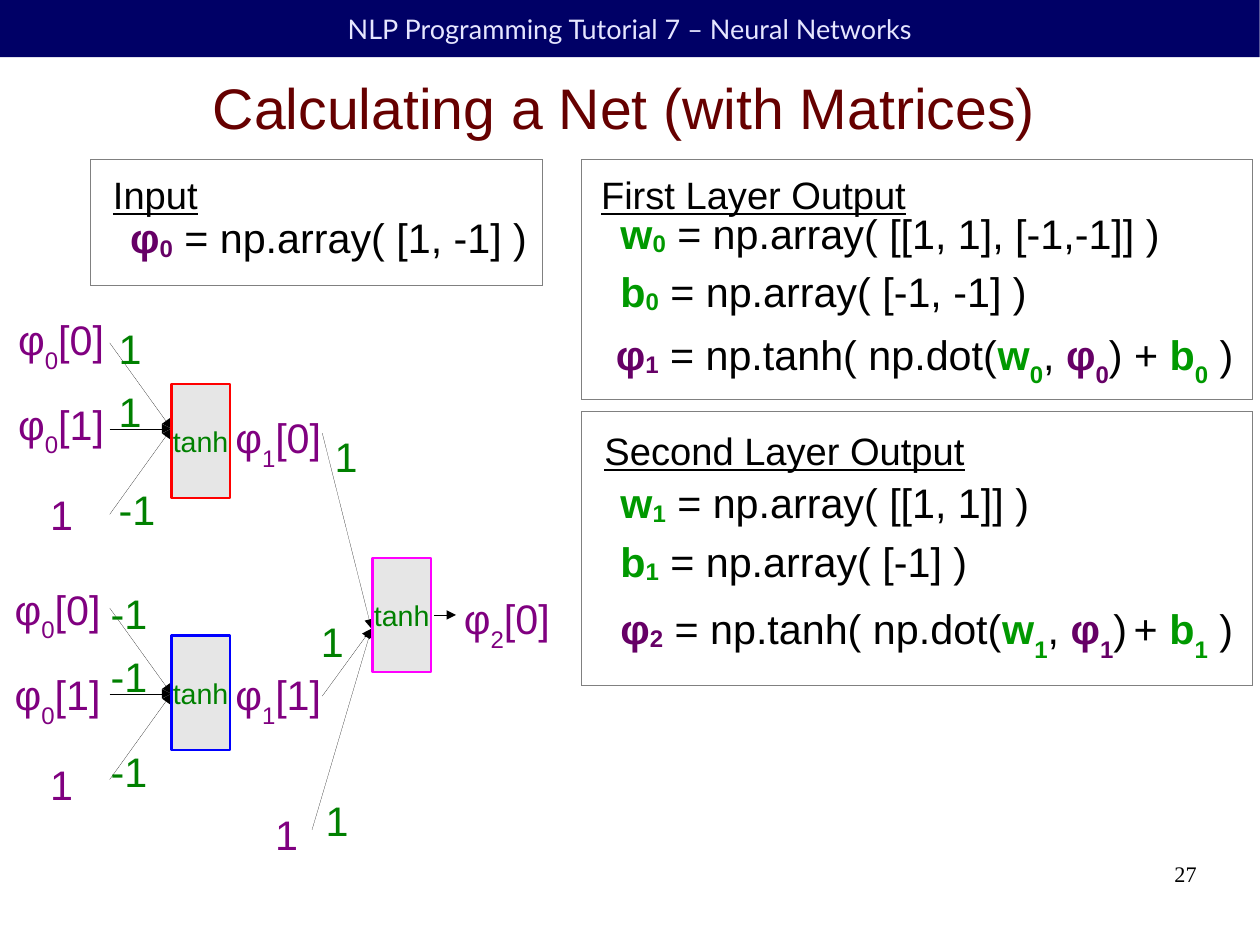
"""Build the slide that computes a small neural net with matrices."""
from lxml import etree
from pptx import Presentation
from pptx import util as u
from pptx.dml.color import RGBColor
from pptx.enum import shapes, text
from pptx.oxml import ns

PX = 9144
BLACK, PURPLE, GREEN = "000000", "800080", "008000"
VECTOR, WEIGHT = "660066", "009900"
LOW, SUB = -8000, -33000

presentation = Presentation()
presentation.slide_width, presentation.slide_height = u.Cm(28), u.Cm(21)
slide = presentation.slides.add_slide(presentation.slide_layouts[6])
color = RGBColor.from_string


def write(shape, runs, size=26, align="LEFT", font="Arial", underline=False):
    """Write (text, colour, bold, baseline) runs into the shape's first paragraph."""
    paragraph = shape.text_frame.paragraphs[0]
    paragraph.alignment = getattr(text.PP_ALIGN, align)
    for words, hue, bold, baseline in runs:
        run = paragraph.add_run()
        run.text = words
        run.font.name, run.font.size = font, u.Pt(size)
        run.font.color.rgb = color(hue)
        run.font.bold = bold
        run.font.underline = underline
        if baseline:
            run._r.get_or_add_rPr().set("baseline", str(baseline))


def add_box(left, top, width, height, fill=None, line=None, weight=0):
    """Add a plain rectangle with optional fill and outline."""
    shape = slide.shapes.add_shape(
        shapes.MSO_SHAPE.RECTANGLE, left * PX, top * PX, width * PX, height * PX)
    shape.shadow.inherit = False
    shape._element.remove(shape._element.find(ns.qn("p:style")))
    if fill:
        shape.fill.solid()
        shape.fill.fore_color.rgb = color(fill)
    else:
        shape.fill.background()
    if line:
        shape.line.color.rgb = color(line)
        shape.line.width = u.Pt(weight)
    else:
        shape.line.fill.background()
    shape.text_frame.vertical_anchor = text.MSO_ANCHOR.MIDDLE
    return shape


header = add_box(0, 0, 1102, 50, fill="000066")
write(header, [("NLP Programming Tutorial 7 – Neural Networks", "E6E6FF", False, 0)],
      17, "CENTER", "Lato")

title = slide.shapes.add_textbox(50 * PX, 62 * PX, 992 * PX, 63 * PX)
title.text_frame.word_wrap = True
title.text_frame.vertical_anchor = text.MSO_ANCHOR.MIDDLE
write(title, [("Calculating a Net (with Matrices)", "660000", False, 0)], 36, "CENTER")

for panel in [(79, 140, 396, 110), (509, 140, 587, 210), (509, 360, 587, 240)]:
    add_box(*panel, line="808080")

arrows = [(380, 538, 399, 538)]
for neuron_y in (375, 607):
    arrows += [(96, neuron_y + offset, 150, neuron_y) for offset in (-75, 0, 75)]
arrows += [(x, y, 325, 550) for x, y in [(282, 379), (282, 609), (273, 726)]]
for start_x, start_y, end_x, end_y in arrows:
    arrow = slide.shapes.add_connector(
        shapes.MSO_CONNECTOR.STRAIGHT, start_x * PX, start_y * PX, end_x * PX, end_y * PX)
    arrow._element.remove(arrow._element.find(ns.qn("p:style")))
    arrow.line.color.rgb = color(BLACK)
    arrow.line.width = u.Pt(0)
    etree.SubElement(arrow.line._get_or_add_ln(), ns.qn("a:tailEnd"), type="triangle")
    etree.SubElement(arrow._element.spPr, ns.qn("a:effectLst"))

for left, top, outline in [(150, 336, "FF0000"), (150, 556, "0000FF"), (326, 488, "FF00FF")]:
    neuron = add_box(left, top, 51, 100, "E6E6E6", outline, 1.45)
    neuron.text_frame.word_wrap = False
    write(neuron, [("tanh", GREEN, False, 0)], 18, "CENTER")

labels = []
for left, top, width, words in [(89, 145, 94, "Input"), (516, 145, 309, "First Layer Output"),
                                (519, 369, 335, "Second Layer Output")]:
    labels.append((left, top, width, 49, [(words, BLACK, False, 0)], 24, True))

for left, top, layer, index in [
        (6, 270, "0", 0), (6, 344, "0", 1), (3, 506, "0", 0), (3, 581, "0", 1),
        (196, 356, "1", 0), (196, 581, "1", 1), (396, 514, "2", 0)]:
    runs = [("φ", PURPLE, False, 0), (layer, PURPLE, False, SUB),
            (f"[{index}]", PURPLE, False, 0)]
    labels.append((left, top, 95, 62, runs, 26, False))

for left, top, value, hue in [
        (34, 423, "1", PURPLE), (34, 659, "1", PURPLE), (231, 703, "1", PURPLE),
        (94, 278, "1", GREEN), (94, 333, "1", GREEN), (94, 419, "-1", GREEN),
        (87, 510, "-1", GREEN), (87, 565, "-1", GREEN), (87, 648, "-1", GREEN),
        (283, 372, "1", GREEN), (271, 534, "1", GREEN), (275, 691, "1", GREEN)]:
    labels.append((left, top, 40 if value == "1" else 52, 50,
                   [(value, hue, False, 0)], 26, False))

for left, top, width, name, index, hue, array in [
        (104, 181, 368, "φ", "0", VECTOR, "[1, -1]"),
        (533, 177, 493, "w", "0", WEIGHT, "[[1, 1], [-1,-1]]"),
        (533, 228, 376, "b", "0", WEIGHT, "[-1, -1]"),
        (533, 413, 378, "w", "1", WEIGHT, "[[1, 1]]"),
        (533, 464, 339, "b", "1", WEIGHT, "[-1]")]:
    runs = [(name, hue, True, 0), (index, hue, True, LOW),
            (f" = np.array( {array} )", BLACK, False, 0)]
    labels.append((left, top, width, 62, runs, 26, False))

for left, top, width, result, layer, gap in [(529, 283, 560, "1", "0", 0),
                                             (533, 523, 556, "2", "1", SUB)]:
    runs = [
        ("φ", VECTOR, True, 0), (result, VECTOR, True, LOW),
        (" = np.tanh( np.dot(", BLACK, False, 0),
        ("w", WEIGHT, True, 0), (layer, WEIGHT, True, SUB), (", ", BLACK, False, 0),
        ("φ", VECTOR, True, 0), (layer, VECTOR, True, SUB),
        (")", BLACK, False, 0), (" ", BLACK, False, gap), ("+ ", BLACK, False, 0),
        ("b", WEIGHT, True, 0), (layer, WEIGHT, True, SUB), (" )", BLACK, False, 0)]
    labels.append((left, top, width, 62, runs, 26, False))

for left, top, width, height, runs, size, underline in labels:
    label = slide.shapes.add_textbox(left * PX, top * PX, width * PX, height * PX)
    label.text_frame.word_wrap = False
    label.text_frame.auto_size = text.MSO_AUTO_SIZE.SHAPE_TO_FIT_TEXT
    write(label, runs, size, underline=underline)

number = slide.shapes.add_textbox(790 * PX, 753 * PX, 257 * PX, 57 * PX)
frame = number.text_frame
frame.word_wrap = True
frame.margin_left = frame.margin_top = frame.margin_right = frame.margin_bottom = 0
write(number, [("27", BLACK, False, 0)], 14, "RIGHT", "Times New Roman")

presentation.save("out.pptx")
